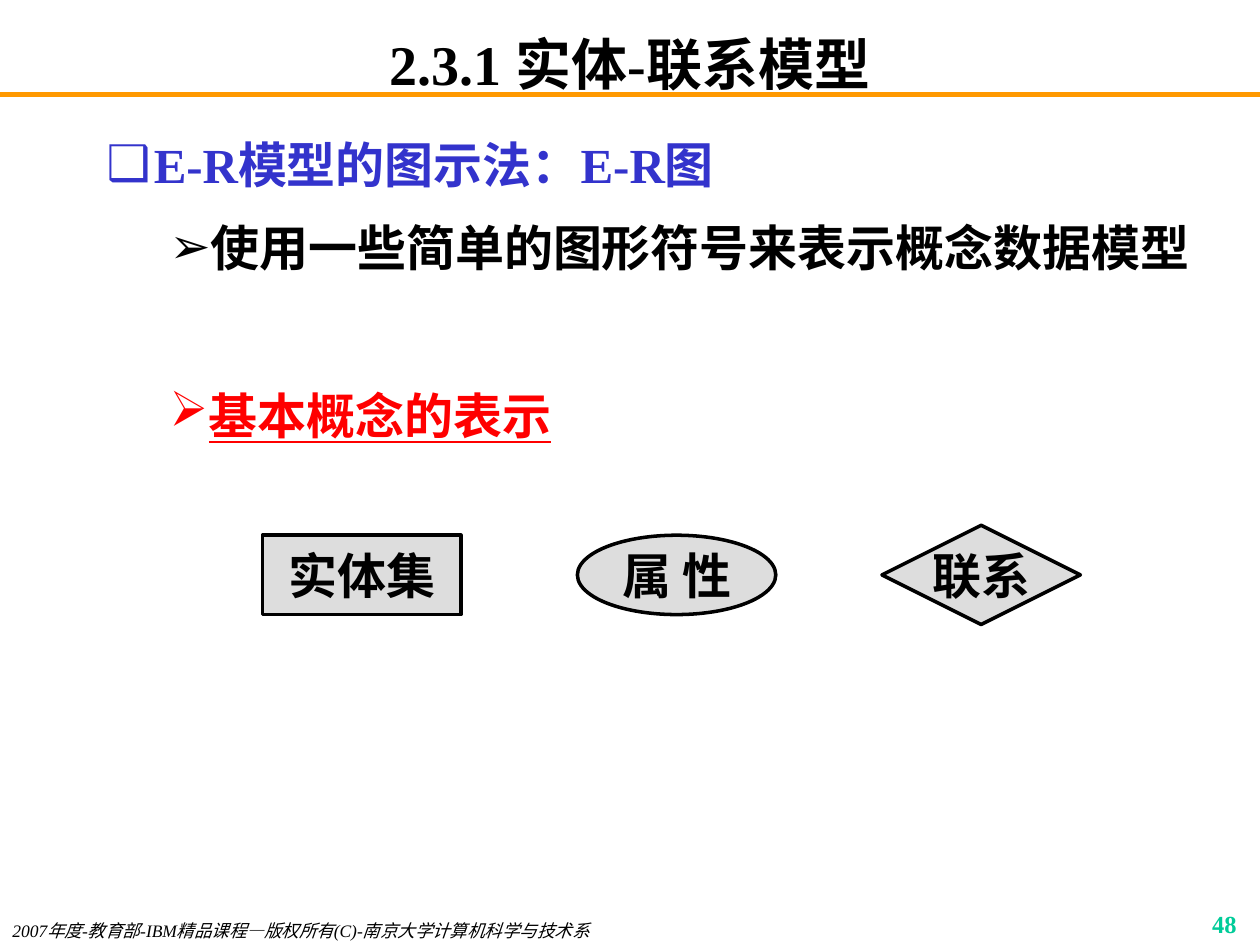
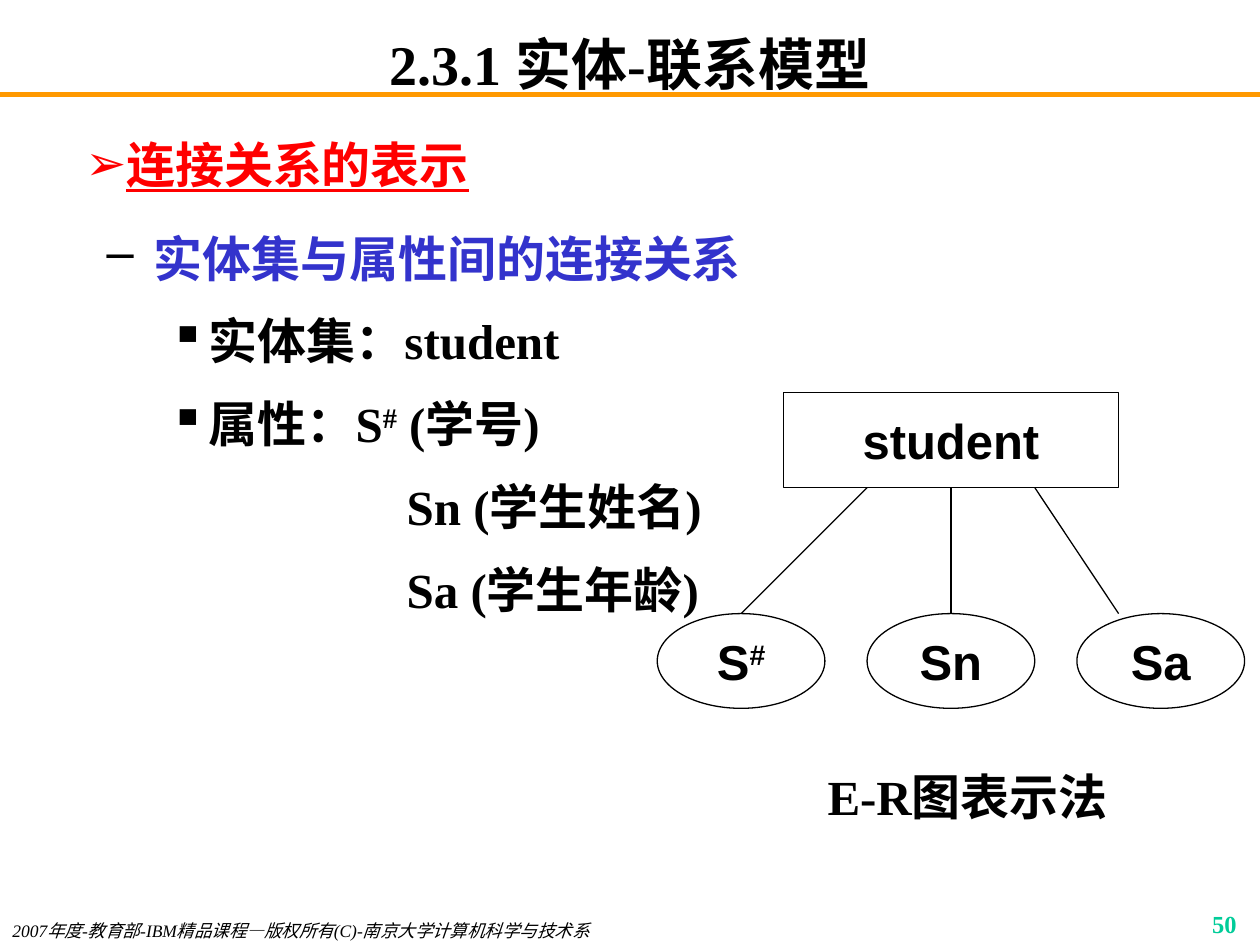
from lxml.etree import SubElement
from pptx import Presentation
from pptx.dml.color import RGBColor
from pptx.enum.shapes import MSO_CONNECTOR as LINE, MSO_SHAPE as SHAPE
from pptx.enum.text import MSO_ANCHOR as ANCHOR, MSO_AUTO_SIZE as AUTO, PP_ALIGN as ALIGN
from pptx.oxml.ns import qn
from pptx.util import Cm, Pt

COLORS = {"black": "000000", "white": "FFFFFF", "blue": "3333CC", "red": "FF0000",
          "orange": "FF9900", "green": "00CC99", "grey": "DDDDDD"}
SERIF, CJK, SANS = "Times New Roman", "Noto Sans CJK SC", "Arial"
TITLE = "2.3.1 实体-联系模型"
FOOTER = "2007年度-教育部-IBM精品课程—版权所有(C)-南京大学计算机科学与技术系"

BOLD = {"name": SERIF, "size": Pt(28), "bold": True}
BLUE = {"color": "blue"}
RED = {"color": "red", "underline": True}
HAN = {"name": CJK}
CENTER = {"alignment": ALIGN.CENTER}
LIST = {"line_spacing": 1.2, "space_before": Pt(7)}
TOP_LEVEL = {"left": 0.95, "hang": 0.95, "level": 0}
SUB_LEVEL = {"left": 2.06, "hang": 0.79, "level": 1}
ARROW = {**SUB_LEVEL, "bullet": "➢"}
RED_ARROW = {**ARROW, "bullet_color": "red"}
SQUARE = {**SUB_LEVEL, "bullet": "▪"}
CONTINUED = {"left": 6.05, "hang": 0, "level": 0}


def write(s, paras, base, layout, anchor=ANCHOR.TOP, wrap=True, inset=0.13):
    tf = s.text_frame
    frame = {"word_wrap": wrap, "auto_size": AUTO.NONE, "vertical_anchor": anchor,
             "margin_left": Cm(0.25), "margin_right": Cm(0.25),
             "margin_top": Cm(inset), "margin_bottom": Cm(inset)}
    for key, value in frame.items():
        setattr(tf, key, value)
    for i, (item, runs) in enumerate(paras):
        p = tf.add_paragraph() if i else tf.paragraphs[0]
        if item:
            p.level = item["level"]
            pPr = p._p.get_or_add_pPr()
            pPr.set("marL", str(Cm(item["left"])))
            pPr.set("indent", str(-Cm(item["hang"])))
            if "bullet" in item:
                color = SubElement(pPr, qn("a:buClr"))
                SubElement(color, qn("a:srgbClr"), val=COLORS[item.get("bullet_color", "black")])
                SubElement(pPr, qn("a:buChar"), char=item["bullet"])
        for key, value in layout.items():
            setattr(p, key, value)
        if i == 0:
            p.space_before = Pt(0)
        for text, extra in runs:
            r = p.add_run()
            r.text = text
            style = {**base, **extra}
            r.font.color.rgb = RGBColor.from_string(COLORS[style.pop("color", "black")])
            baseline = style.pop("baseline", None)
            for key, value in style.items():
                setattr(r.font, key, value)
            rPr = r._r.get_or_add_rPr()
            SubElement(rPr, qn("a:ea"), typeface=CJK)
            if baseline:
                rPr.set("baseline", baseline)


def draw(slide, kind, box, fill=None, line="black", width=0.75):
    x, y, w, h = map(Cm, box)
    if kind is LINE.STRAIGHT:
        s = slide.shapes.add_connector(kind, x, y, w, h)
        SubElement(s._element.spPr, qn("a:effectLst"))
    else:
        s = slide.shapes.add_shape(kind, x, y, w, h)
        s.shadow.inherit = False
        s.fill.solid()
        s.fill.fore_color.rgb = RGBColor.from_string(COLORS[fill])
    s.line.color.rgb = RGBColor.from_string(COLORS[line])
    s.line.width = Pt(width)
    return s


prs = Presentation()
prs.slide_width, prs.slide_height = Cm(25.4), Cm(19.05)

pages = [
    ("48", (1.9, 2.34, 22.86, 3.38), [
        ({**TOP_LEVEL, "bullet": "❑", "bullet_color": "blue"}, [("E-R模型的图示法：E-R图", BLUE)]),
        (ARROW, [("使用一些简单的图形符号来表示概念数据模型", {})])]),
    ("50", (0.2, 2.34, 21.59, 15.44), [(RED_ARROW, [("连接关系的表示", RED)])]),
]
for number, body_box, body_paras in pages:
    slide = prs.slides.add_slide(prs.slide_layouts[1])
    draw(slide, LINE.STRAIGHT, (0, 1.9, 25.4, 1.9), line="orange", width=3)
    title, body = slide.placeholders
    title.left, title.top, title.width, title.height = map(Cm, (1.9, 0.64, 21.6, 1.27))
    write(title, [(None, [(TITLE, {})])], {**BOLD, "size": Pt(32)}, CENTER, ANCHOR.MIDDLE, inset=0)
    body.left, body.top, body.width, body.height = map(Cm, body_box)
    write(body, body_paras, BOLD, LIST)
    s = slide.shapes.add_textbox(Cm(0), Cm(18.42), Cm(13.97), Cm(0.63))
    write(s, [(None, [(FOOTER, {})])], {"name": SERIF, "size": Pt(10), "italic": True}, {})
    s = slide.shapes.add_textbox(Cm(19.9), Cm(18.2), Cm(5.28), Cm(0.64))
    write(s, [(None, [(number, {"color": "green"})])], {**BOLD, "size": Pt(14)},
          {"alignment": ALIGN.RIGHT})

symbols_slide, links_slide = prs.slides

s = symbols_slide.shapes.add_textbox(Cm(1.9), Cm(7.41), Cm(21.6), Cm(2.12))
write(s, [(RED_ARROW, [("基本概念的表示", RED)])], BOLD, LIST)
for kind, text, x, h in [(SHAPE.RECTANGLE, "实体集", 5.29, 1.6),
                         (SHAPE.OVAL, "属 性", 11.64, 1.6),
                         (SHAPE.FLOWCHART_DECISION, "联系", 17.78, 2)]:
    s = draw(symbols_slide, kind, (x, 11.59 - h / 2, 4, h), "grey", width=2)
    write(s, [(None, [(text, {})])], BOLD, CENTER, ANCHOR.MIDDLE, wrap=False)

s = links_slide.shapes.add_textbox(Cm(1.9), Cm(4.23), Cm(21.6), Cm(9.1))
write(s, [
    ({**TOP_LEVEL, "bullet": "–"}, [("实体集与属性间的连接关系", {**HAN, **BLUE})]),
    (SQUARE, [("实体集：", HAN), ("student", {})]),
    (SQUARE, [("属性：", HAN), ("S", {}), ("#", {"baseline": "30000"}),
              (" (", {}), ("学号", HAN), (")", {})]),
    (CONTINUED, [("Sn (", {}), ("学生姓名", HAN), (")", {})]),
    (CONTINUED, [("Sa (", {}), ("学生年龄", HAN), (")", {})]),
], BOLD, LIST)

label = {**BOLD, "name": SANS}
entity = draw(links_slide, SHAPE.RECTANGLE, (15.79, 7.92, 6.76, 1.91), "white")
write(entity, [(None, [("student", {})])], label, CENTER, ANCHOR.MIDDLE)
attributes = []
for i, runs in enumerate([[("S", {}), ("#", {"baseline": "30000"})], [("Sn", {})], [("Sa", {})]]):
    s = draw(links_slide, SHAPE.OVAL, (13.25 + 4.23 * i, 12.37, 3.38, 1.91), "white")
    write(s, [(None, runs)], label, CENTER, ANCHOR.MIDDLE)
    attributes.append(s)

left, middle, right = [draw(links_slide, LINE.STRAIGHT, (x1, 9.83, x2, 12.37))
                       for x1, x2 in [(17.48, 14.94), (19.17, 19.17), (20.86, 22.55)]]
middle.begin_connect(entity, 2)
left.end_connect(attributes[0], 0)
middle.end_connect(attributes[1], 0)

s = links_slide.shapes.add_textbox(Cm(15.9), Cm(15.32), Cm(7.21), Cm(1.45))
write(s, [(None, [("E-R图表示法", {})])], BOLD, CENTER)

prs.save("out.pptx")
